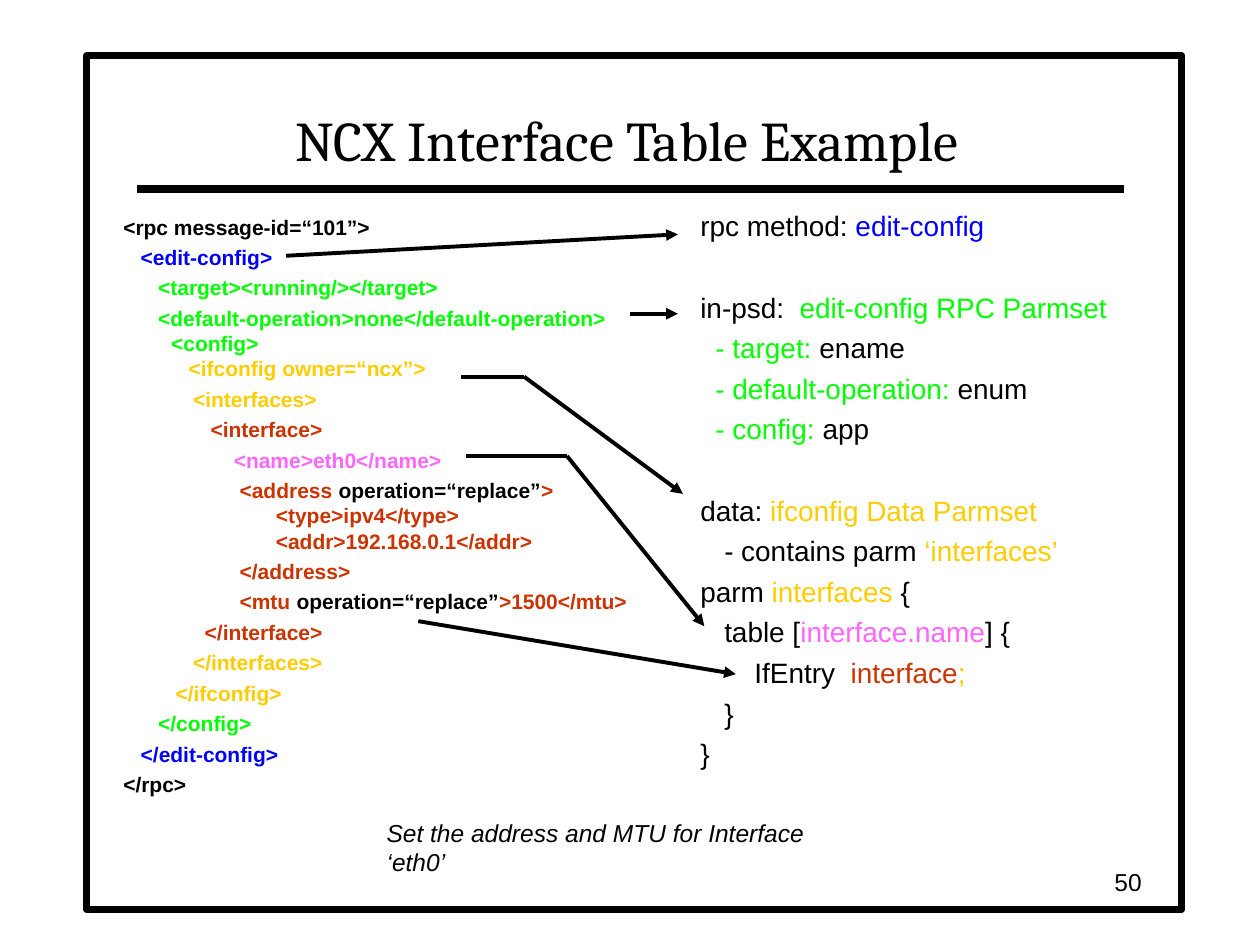
from lxml.etree import SubElement
from pptx import Presentation
from pptx.dml.color import RGBColor
from pptx.enum.shapes import MSO_CONNECTOR, MSO_SHAPE
from pptx.enum.text import MSO_ANCHOR, PP_ALIGN
from pptx.oxml.ns import qn
from pptx.util import Inches, Pt

BLACK, BLUE, GREEN = "000000", "0000FF", "00FF00"
GOLD, PINK, RUST = "FFCC00", "FF66FF", "CC3300"

CODE = [
    [("<rpc message-id=“101”>", BLACK)],
    [("   <edit-config>", BLUE)],
    [("      <target><running/></target>", GREEN)],
    [("      <default-operation>none</default-operation>\n<config>\n", GREEN),
     ("   <ifconfig owner=“ncx”>", GOLD)],
    [("            <interfaces>", GOLD)],
    [("               <interface>", RUST)],
    [("                   <name>eth0</name>", PINK)],
    [("                    <address ", RUST), ("operation=“replace”", BLACK),
     (">\n                  <type>ipv4</type>"
      "\n                  <addr>192.168.0.1</addr>", RUST)],
    [("                    </address>", RUST)],
    [("                    <mtu ", RUST), ("operation=“replace”", BLACK),
     (">1500</mtu>", RUST)],
    [("              </interface>", RUST)],
    [("            </interfaces>", GOLD)],
    [("         </ifconfig>", GOLD)],
    [("      </config>", GREEN)],
    [("   </edit-config>", BLUE)],
    [("</rpc>", BLACK)],
]

NOTES = [
    (0, 0, [("rpc method:", BLACK), (" edit-config", BLUE)]),
    (0, 1, [("in-psd:", BLACK), ("  edit-config RPC Parmset", GREEN)]),
    (0.12, 0, [("- target: ", GREEN), ("ename", BLACK)]),
    (0.12, 0, [("- default-operation: ", GREEN), ("enum", BLACK)]),
    (0.12, 0, [("- config: ", GREEN), ("app", BLACK)]),
    (0, 1, [("data: ", BLACK), ("ifconfig Data Parmset", GOLD)]),
    (0.19, 0, [("- contains parm", BLACK), (" ‘interfaces’", GOLD)]),
    (0, 0, [("parm", BLACK), (" interfaces ", GOLD), ("{", BLACK)]),
    (0.19, 0, [("table [", BLACK), ("interface.name", PINK), ("] {", BLACK)]),
    (0.43, 0, [("IfEntry  ", BLACK), ("interface", RUST), (";", GOLD)]),
    (0.19, 0, [("}", BLACK)]),
    (0, 0, [("}", BLACK)]),
]

LINES = [
    (2.27, 2.03, 5.38, 1.86, True),
    (5, 2.49, 5.38, 2.49, True),
    (4.16, 2.99, 5.42, 3.92, True),
    (3.66, 2.99, 4.16, 2.99, False),
    (3.32, 4.93, 5.84, 5.35, True),
    (4.5, 3.62, 5.59, 4.97, True),
    (3.7, 3.62, 4.5, 3.62, False),
]


def paint(font, hue):
    font.color.rgb = RGBColor.from_string(hue)


def style(par, size, name="Arial", bold=False, slant=False):
    font = par.font
    font.size, font.name = Pt(size), name
    font.bold, font.italic = bold, slant
    paint(font, BLACK)


def add_box(slide, *area, wrap=True):
    frame = slide.shapes.add_textbox(*map(Inches, area)).text_frame
    frame.word_wrap = wrap
    return frame


def add_par(frame, first, runs, size, gap, left, hang=0, bold=False):
    par = frame.paragraphs[0] if first else frame.add_paragraph()
    props = par._p.get_or_add_pPr()
    props.set("marL", str(Inches(left)))
    props.set("indent", str(Inches(-hang)))
    par.line_spacing = Pt(size * 1.2)
    par.space_before = Pt(0 if first else gap)
    style(par, size, bold=bold)
    for text, hue in runs:
        for i, part in enumerate(text.split("\n")):
            if i:
                par.add_line_break()
            if part:
                run = par.add_run()
                run.text = part
                paint(run.font, hue)


def add_line(slide, x1, y1, x2, y2, head=False, width=2.25):
    line = slide.shapes.add_connector(
        MSO_CONNECTOR.STRAIGHT, *map(Inches, (x1, y1, x2, y2)))
    line.line.width = Pt(width)
    paint_line(line.line)
    if head:
        SubElement(line.line._get_or_add_ln(), qn("a:tailEnd"), type="triangle")
    SubElement(line._element.spPr, qn("a:effectLst"))


def paint_line(line):
    line.color.rgb = RGBColor.from_string(BLACK)


def main():
    deck = Presentation()
    deck.slide_width, deck.slide_height = Inches(10), Inches(7.5)
    slide = deck.slides.add_slide(deck.slide_layouts[5])

    border = slide.shapes.add_shape(
        MSO_SHAPE.RECTANGLE, *map(Inches, (0.69, 0.44, 8.69, 6.78)))
    border.shadow.inherit = False
    border.fill.background()
    border.line.width = Pt(4)
    paint_line(border.line)
    add_line(slide, 1.09, 1.5, 8.92, 1.5, width=4.5)

    title = slide.shapes.title
    title.left, title.top, title.width, title.height = map(
        Inches, (1.08, 0.5, 7.79, 0.92))
    title.text_frame.text = "NCX Interface Table Example"
    title.text_frame.vertical_anchor = MSO_ANCHOR.BOTTOM
    head = title.text_frame.paragraphs[0]
    head.alignment = PP_ALIGN.CENTER
    style(head, 32, "Cambria")

    notes = add_box(slide, 5.46, 1.61, 3.9, 5.17)
    for i, (left, skip, runs) in enumerate(NOTES):
        add_par(notes, i == 0, runs, 16, 27.2 if skip else 4, left)
    code = add_box(slide, 0.88, 1.65, 5.08, 5.17)
    for i, runs in enumerate(CODE):
        add_par(code, i == 0, runs, 12, 3, 0.38, 0.38, True)

    for line in LINES:
        add_line(slide, *line)

    label = add_box(slide, 2.97, 6.44, 4.03, 0.34, wrap=False)
    label.text = "Set the address and MTU for Interface ‘eth0’"
    style(label.paragraphs[0], 14, slant=True)

    page = add_box(slide, 7.08, 6.83, 2.08, 0.33)
    page.text = "50"
    page.vertical_anchor = MSO_ANCHOR.MIDDLE
    page.paragraphs[0].alignment = PP_ALIGN.RIGHT
    style(page.paragraphs[0], 14)

    deck.save("out.pptx")


if __name__ == "__main__":
    main()
